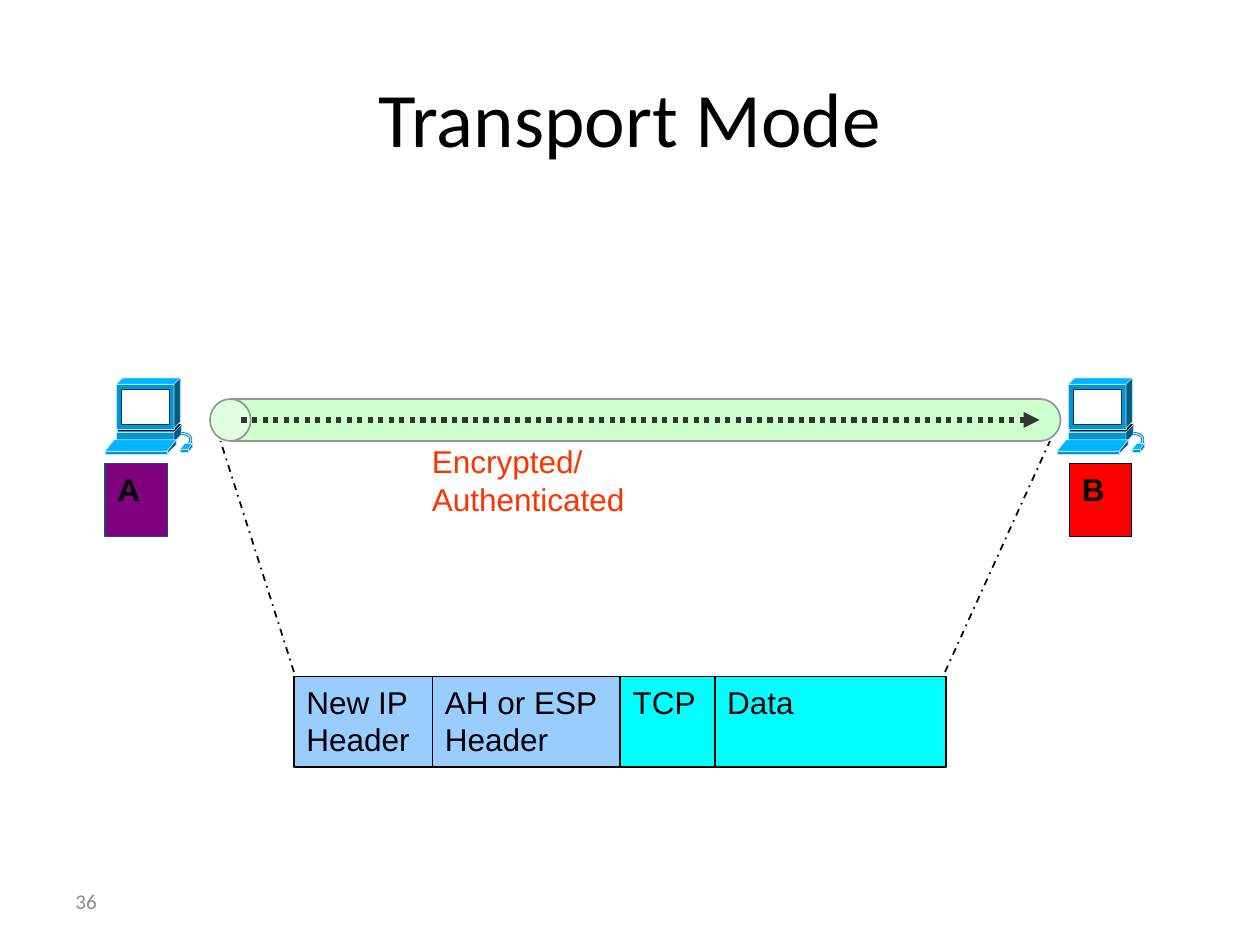
"""Build the Transport Mode slide: two hosts, a protected tunnel and its packet layout."""
from dataclasses import dataclass
from itertools import accumulate
from typing import Any, NamedTuple, Optional

from lxml.etree import SubElement
from pptx import Presentation
from pptx.dml.color import RGBColor as RGB
from pptx.enum.dml import MSO_LINE as Dash
from pptx.enum.shapes import MSO_CONNECTOR as Link, MSO_SHAPE as Preset
from pptx.enum.text import MSO_ANCHOR as Anchor, PP_ALIGN as Align
from pptx.oxml.ns import qn
from pptx.util import Pt


@dataclass(frozen=True)
class Theme:
    heading_font: str = "Calibri"
    body_font: str = "Arial"
    title_size: float = 44
    body_size: float = 18
    number_size: float = 12
    ink: str = "000000"
    paper: str = "FFFFFF"
    muted: str = "8C8C8C"
    alert: str = "FF3300"
    host_a: str = "800080"
    host_a_edge: str = "1F497D"
    host_b: str = "FF0000"
    tunnel: str = "CCFFCC"
    tunnel_edge: str = "969696"
    flow: str = "333333"
    header: str = "99CCFF"
    payload: str = "00FFFF"
    pc_top: str = "00B4FF"
    pc_front: str = "0096D5"
    pc_side: str = "005A80"
    pc_edge: str = "AAE6FF"
    pc_cable: str = "0078AA"
    screen_edge: str = "003C55"


THEME = Theme()


class Box(NamedTuple):
    left: float
    top: float
    width: float
    height: float


class Style(NamedTuple):
    fill: Optional[str]
    edge: str
    weight: float


class Label(NamedTuple):
    text: str
    font: str = THEME.body_font
    size: float = THEME.body_size
    color: str = THEME.ink
    bold: bool = False
    align: Align = Align.LEFT
    anchor: Anchor = Anchor.TOP
    wrap: bool = True


class Face(NamedTuple):
    corners: tuple
    style: Style


class Panel(NamedTuple):
    box: Box
    style: Style


class Host(NamedTuple):
    name: str
    pc_left: float
    tag_left: float
    style: Style


class Field(NamedTuple):
    text: str
    width: float
    fill: str


TOP = Style(THEME.pc_top, THEME.pc_edge, 0.38)
FRONT = Style(THEME.pc_front, THEME.pc_edge, 0.38)
SIDE = Style(THEME.pc_side, THEME.pc_edge, 0.38)
GAP = Style(THEME.ink, THEME.ink, 0.38)
SCREEN = Style(THEME.paper, THEME.screen_edge, 0.38)

CABLE_CURVES = (
    ((39.6, 33.1), (40.3, 31.9), (41.8, 31.7), (43.2, 31.7)),
    ((43.2, 31.7), (46.8, 31.7), (49, 33.1), (49, 35.3)),
    ((49, 35.3), (49, 36.7), (48.4, 37.4), (47.8, 38.2)),
)
CABLE_STROKES = (Style(None, THEME.pc_cable, 1.63), Style(None, THEME.pc_edge, 0.75))
COMPUTER = (
    Face(((6.5, 31), (10.8, 26.6), (43.6, 26.6), (39.4, 31)), TOP),
    Panel(Box(6.5, 31, 32.9, 6), FRONT),
    Face(((39.4, 36.7), (43.6, 32.4), (43.6, 26.6), (39.4, 31)), SIDE),
    Face(((7.6, 30.2), (10.8, 26.6), (43, 26.6), (39.6, 30.2)), GAP),
    Face(((6.5, 3.6), (10.1, 0), (43, 0), (39.4, 3.6)), TOP),
    Panel(Box(6.5, 3.6, 32.9, 25.9), FRONT),
    Panel(Box(9.4, 6.5, 27.4, 20.2), SCREEN),
    Face(((39.4, 28.8), (43, 25.2), (43, 0), (39.4, 3.6)), SIDE),
    Face(((0, 41.8), (5.4, 35.3), (40.7, 35.3), (35.6, 41.8)), TOP),
    Face(((35.6, 43.2), (40.7, 38.2), (40.7, 35.3), (35.6, 41.8)), SIDE),
    Panel(Box(0, 41.8, 35.6, 1.6), FRONT),
    Face(((42.8, 41), (45.7, 37.4), (50, 37.4), (47.5, 41)), TOP),
    Face(((47.5, 42.5), (50, 39.6), (50, 37.4), (47.5, 41)), SIDE),
    Panel(Box(42.8, 41, 4.7, 1.5), FRONT),
)
PC_TOP = 216

HOSTS = (
    Host("A", 60, 60, Style(THEME.host_a, THEME.host_a_edge, 0.75)),
    Host("B", 604, 611.2, Style(THEME.host_b, THEME.ink, 0.75)),
)
FIELDS = (
    Field("New IP Header", 79.2, THEME.header),
    Field("AH or ESP Header", 107.2, THEME.header),
    Field("TCP", 54, THEME.payload),
    Field("Data", 132.4, THEME.payload),
)
PACKET_LEFT = 168


def paint(shape: Any, style: Style) -> None:
    shape.shadow.inherit = False
    if style.fill:
        shape.fill.solid()
        shape.fill.fore_color.rgb = RGB.from_string(style.fill)
    else:
        shape.fill.background()
    shape.line.color.rgb = RGB.from_string(style.edge)
    shape.line.width = Pt(style.weight)


def write(shape: Any, label: Label) -> None:
    frame = shape.text_frame
    frame.text = label.text
    frame.word_wrap = label.wrap
    frame.vertical_anchor = label.anchor
    paragraph = frame.paragraphs[0]
    paragraph.alignment = label.align
    font = paragraph.runs[0].font
    font.name, font.size, font.bold = label.font, Pt(label.size), label.bold
    font.color.rgb = RGB.from_string(label.color)


def add_preset(shapes: Any, preset: Preset, box: Box, style: Style) -> Any:
    shape = shapes.add_shape(preset, *map(Pt, box))
    paint(shape, style)
    return shape


def add_note(shapes: Any, box: Box, label: Label) -> None:
    write(shapes.add_textbox(*map(Pt, box)), label)


def add_outline(shapes: Any, points: list, style: Style, close: bool) -> None:
    start, *rest = [(Pt(x), Pt(y)) for x, y in points]
    builder = shapes.build_freeform(*start, scale=1.0)
    builder.add_line_segments(rest, close=close)
    paint(builder.convert_to_shape(), style)


def bezier(curve: tuple, steps: int = 8) -> list:
    weights = [((1 - t) ** 3, 3 * t * (1 - t) ** 2, 3 * t * t * (1 - t), t ** 3)
               for t in (step / steps for step in range(steps + 1))]
    return [tuple(sum(w * p[axis] for w, p in zip(row, curve)) for axis in (0, 1))
            for row in weights]


def add_computer(shapes: Any, left: float) -> None:
    computer = shapes.add_group_shape().shapes
    cable = [(left + x, PC_TOP + y) for curve in CABLE_CURVES for x, y in bezier(curve)]
    for stroke in CABLE_STROKES:
        add_outline(computer, cable, stroke, close=False)
    for part in COMPUTER:
        if isinstance(part, Face):
            corners = [(left + x, PC_TOP + y) for x, y in part.corners]
            add_outline(computer, corners, part.style, close=True)
        else:
            x, y, width, height = part.box
            add_preset(computer, Preset.RECTANGLE, Box(left + x, PC_TOP + y, width, height), part.style)


def add_line(shapes: Any, ends: tuple, color: str, weight: float, dash: Dash, arrow: bool = False) -> None:
    connector = shapes.add_connector(Link.STRAIGHT, *map(Pt, ends))
    connector.line.color.rgb = RGB.from_string(color)
    connector.line.width = Pt(weight)
    connector.line.dash_style = dash
    if arrow:
        SubElement(connector.line._get_or_add_ln(), qn("a:tailEnd"), type="triangle")
    SubElement(connector._element.spPr, qn("a:effectLst"))


def add_packet(shapes: Any) -> None:
    packet = shapes.add_group_shape().shapes
    lefts = accumulate((field.width for field in FIELDS), initial=PACKET_LEFT)
    for field, left in zip(FIELDS, lefts):
        cell = add_preset(packet, Preset.RECTANGLE, Box(left, 386.6, field.width, 51.6),
                          Style(field.fill, THEME.ink, 1))
        write(cell, Label(field.text))


def main() -> None:
    deck = Presentation()
    deck.slide_width, deck.slide_height = Pt(720), Pt(540)
    shapes = deck.slides.add_slide(deck.slide_layouts[6]).shapes
    add_note(shapes, Box(36, 21.6, 648, 90), Label(
        "Transport Mode", THEME.heading_font, THEME.title_size, align=Align.CENTER, anchor=Anchor.MIDDLE))
    for host in HOSTS:
        tag = add_preset(shapes, Preset.RECTANGLE, Box(host.tag_left, 265, 35.6, 41.6), host.style)
        write(tag, Label(host.name, bold=True))
        add_computer(shapes, host.pc_left)
    tunnel = add_preset(shapes, Preset.CAN, Box(351, -3, 24, 486),
                        Style(THEME.tunnel, THEME.tunnel_edge, 1))
    tunnel.adjustments[0] = 0.97
    tunnel.rotation = 270
    add_line(shapes, (138, 240, 594, 240), THEME.flow, 3, Dash.ROUND_DOT, arrow=True)
    add_packet(shapes)
    add_note(shapes, Box(239.7, 249, 210, 29), Label("Encrypted/Authenticated", color=THEME.alert, wrap=False))
    for ends in ((168, 384, 126, 252), (540, 384, 600, 252)):
        add_line(shapes, ends, THEME.ink, 1, Dash.DASH_DOT)
    add_note(shapes, Box(36, 500.5, 168, 28.8), Label(
        "36", THEME.heading_font, THEME.number_size, THEME.muted, anchor=Anchor.MIDDLE))
    deck.save("out.pptx")


if __name__ == "__main__":
    main()
